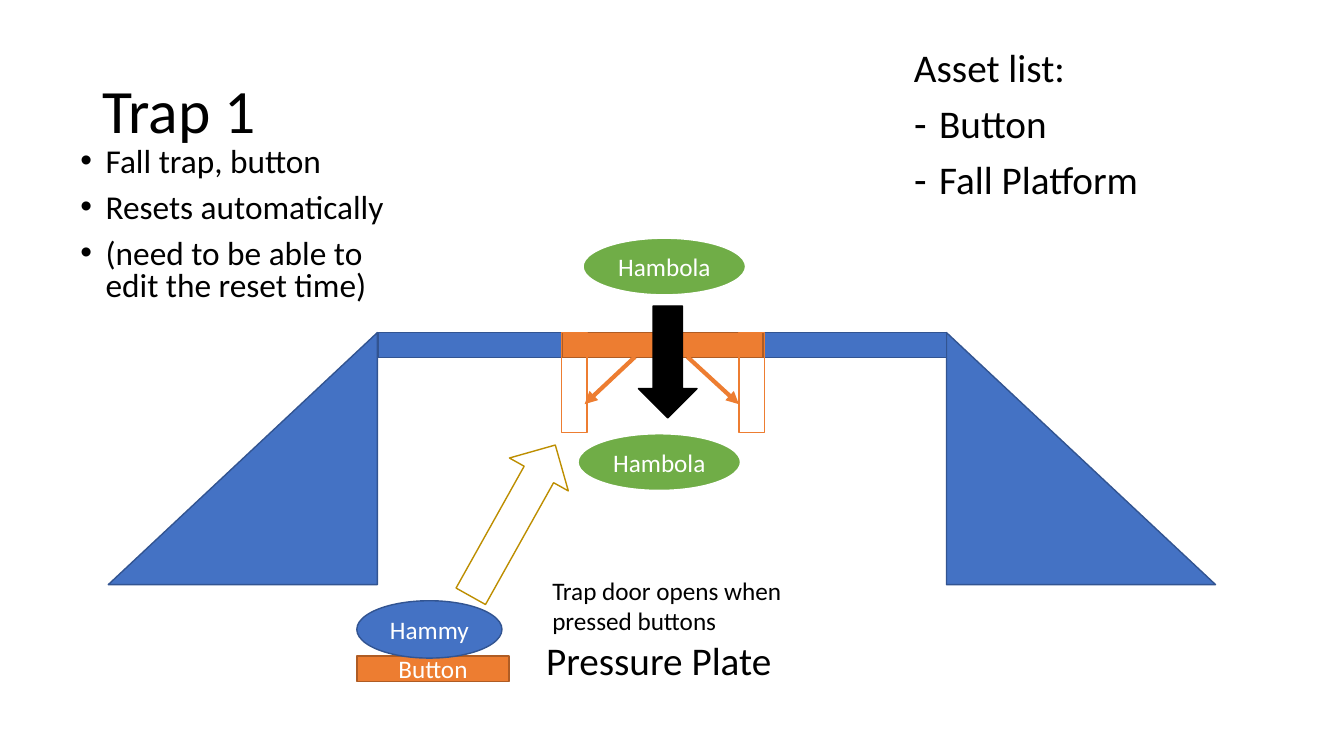
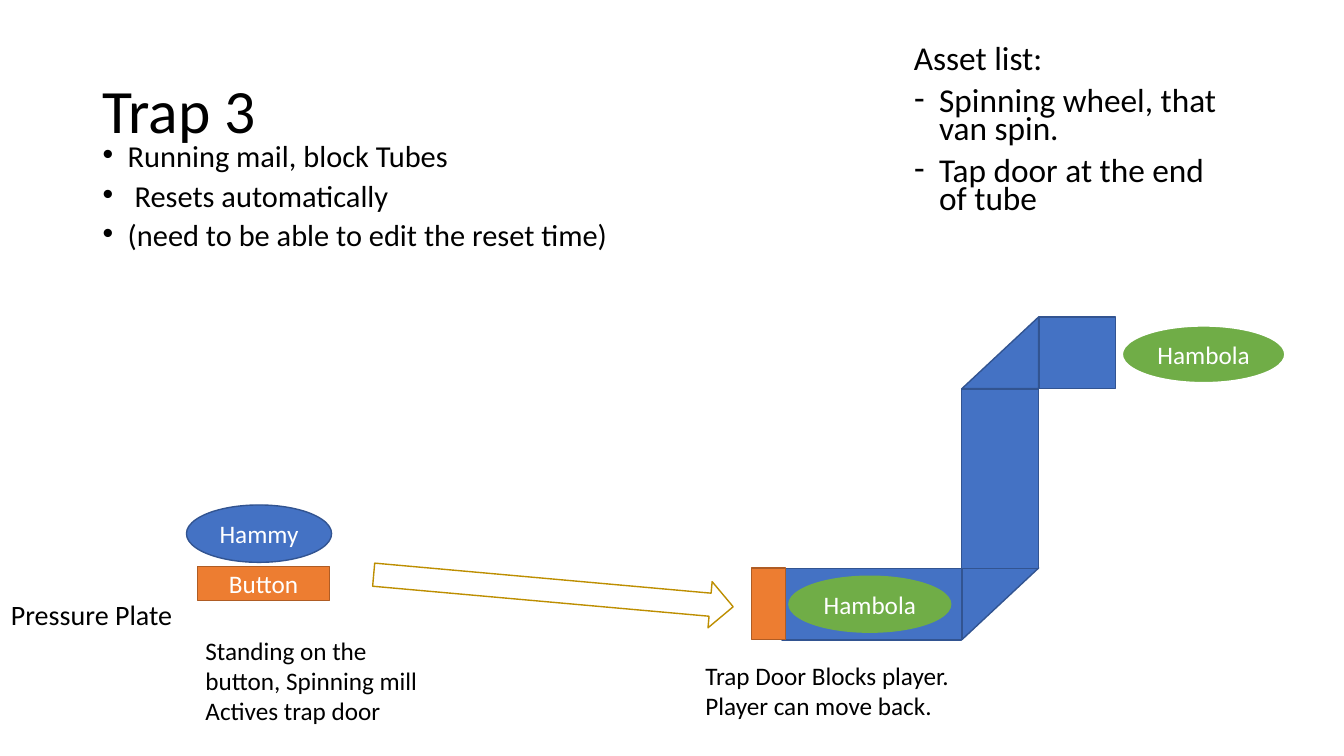
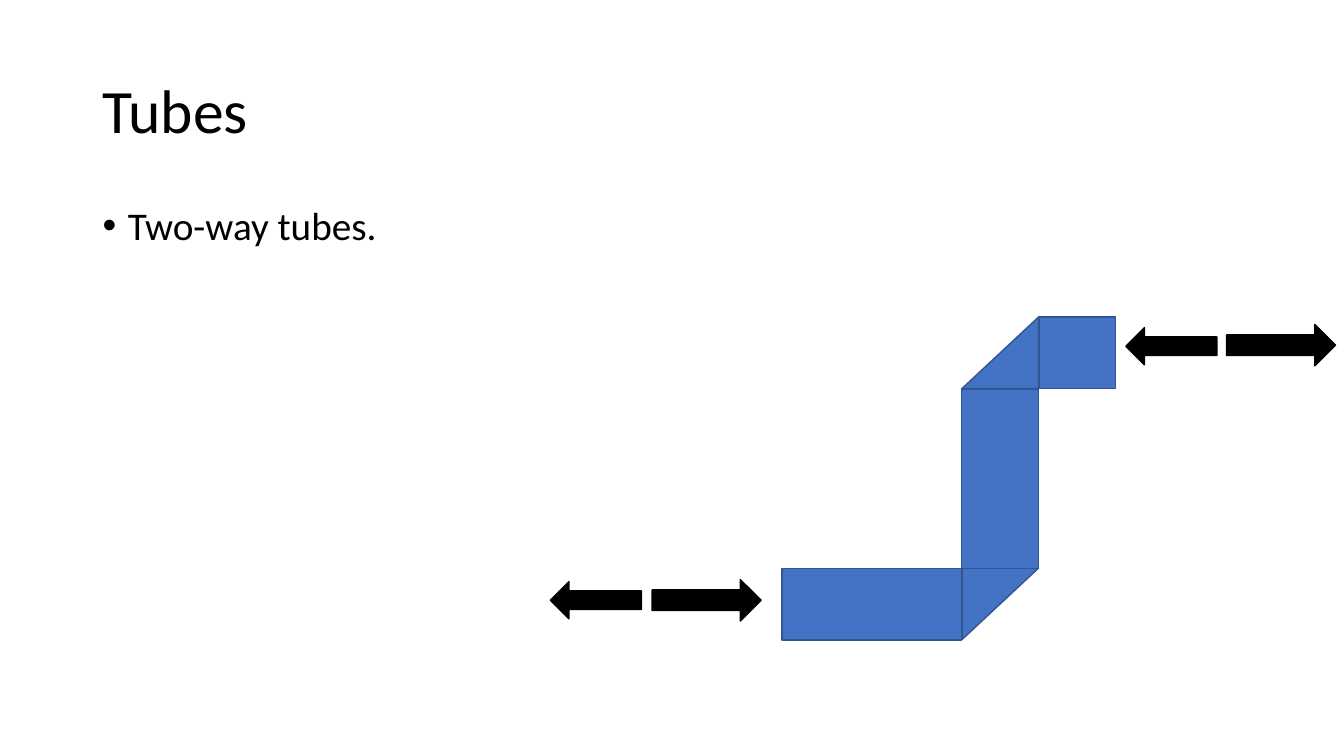
"""Build three slides that sketch game traps and tubes."""
from pptx import Presentation
from pptx.dml.color import RGBColor
from pptx.enum.shapes import MSO_CONNECTOR, MSO_SHAPE
from pptx.enum.text import MSO_ANCHOR, PP_ALIGN
from pptx.oxml.ns import qn
from pptx.util import Pt
from lxml.etree import SubElement

FONT = "Calibri"
INK = {"black": "000000", "white": "FFFFFF", "blue": "4472C4", "navy": "325491",
       "orange": "ED7D31", "rust": "AF5C24", "green": "70AD47", "gold": "BD8E00"}
KIND = {"rect": MSO_SHAPE.RECTANGLE, "ramp": MSO_SHAPE.RIGHT_TRIANGLE,
        "oval": MSO_SHAPE.OVAL, "arrow": MSO_SHAPE.RIGHT_ARROW}
LOOK = {"blue": ("blue", "navy", 1), "orange": ("orange", "rust", 1),
        "green": ("green", "white", 1.5), "plain": ("green", None, 0),
        "black": ("black", "black", 1), "gold": (None, "gold", 1),
        "hollow": (None, "orange", 1)}

TITLE = (66, 28.8, 828, 104.4)
ASSET = (645.8, 31, 242.6, 135.4)
HAMMY, BOLA = (103.7, 41), (116.6, 41)
DECK, THICK, SPAN, DOOR = 237.6, 18, 131, 71.6
RAMP = (192.2, 180)
BEND, LONG = (51.1, 54.7), 128.2
RIGHT, LEFT = (77.8, 29.5), (65, 26.6)

TUBE = [("rect", "blue", (558.7, 406.1, LONG, BEND[0])),
        ("ramp", "blue", (689, 403.9, *BEND), "", 90),
        ("rect", "blue", (650.2, 314.6, LONG, BEND[1]), "", 90),
        ("ramp", "blue", (689, 224.6, *BEND), "", 270),
        ("rect", "blue", (743.8, 224.6, *BEND), "", 90)]

SLIDES = [
    {"title": "Trap 1",
     "notes": [
         ((50.4, 102.2, 242.6, 135.4), 23.8, 0.8, 10,
          [("•", "Fall trap, button"), ("•", "Resets automatically"),
           ("•", "(need to be able to edit the reset time)")]),
         (ASSET, 28, 0.9, 10,
          [("", "Asset list:"), ("-", "Button"), ("-", "Fall Platform")]),
         ((383, 455, 242.6, 60), 28, 0.9, 10, [("", "Pressure Plate")]),
         ((387.4, 407.5, 201.6, 51.1), 18, 1, 0,
          [("", "Trap door opens when pressed buttons")])],
     "shapes": [
         ("ramp", "blue", (676.1, DECK, *RAMP)),
         ("ramp", "blue", (77.4, DECK, *RAMP), "", 0, True),
         ("rect", "blue", (270, DECK, SPAN, THICK)),
         ("rect", "blue", (545, DECK, SPAN, THICK)),
         ("rect", "orange", (401.5, DECK, DOOR, THICK)),
         ("rect", "orange", (473.5, DECK, DOOR, THICK)),
         ("rect", "hollow", (374.4, 264.2, DOOR, THICK), "", 90),
         ("rect", "hollow", (501.1, 264.2, DOOR, THICK), "", 90),
         ("line", (453.6, 254.9, 417.6, 288.7)),
         ("line", (491, 254.9, 527.8, 288.7)),
         ("rect", "orange", (254.9, 468.7, 108.7, THICK), "Button"),
         ("oval", "blue", (254.9, 429.1, *HAMMY), "Hammy"),
         ("arrow", "gold", (304.6, 347.8, 123.8, 48.2), "", 299.2),
         ("oval", "green", (412.6, 309.6, *BOLA), "Hambola"),
         ("arrow", "black", (437, 237.6, 79.9, 41.8), "", 90),
         ("oval", "green", (416.2, 169.9, *BOLA), "Hambola")]},
    {"title": "Trap 3",
     "notes": [
         ((66.2, 101.5, 386.6, 97.2), 21.7, 0.7, 10,
          [("•", "Running mail, block Tubes"), ("•", " Resets automatically"),
           ("•", "(need to be able to edit the reset time)")]),
         (ASSET, 23.8, 0.7, 10,
          [("", "Asset list:"), ("-", "Spinning wheel, that van spin."),
           ("-", "Tap door at the end of tube")]),
         ((139.7, 450, 177.1, 72.7), 18, 1, 0,
          [("", "Standing on the button, Spinning mill Actives trap door")]),
         ((496.8, 468, 190.1, 51.1), 18, 1, 0,
          [("", "Trap Door Blocks player. Player can move back.")]),
         ((0.7, 426.2, 132.5, 51.1), 20, 0.9, 10, [("", "Pressure Plate")])],
     "shapes": [
         ("oval", "blue", (133.2, 360.7, *HAMMY), "Hammy"),
         ("oval", "green", (801.4, 232.6, *BOLA), "Hambola"),
         *TUBE,
         ("rect", "orange", (523.4, 419, 51.1, 24.5), "", 90),
         ("oval", "plain", (563, 411.1, *BOLA), "Hambola"),
         ("arrow", "gold", (266.4, 405.4, 257.8, 33.1), "", 5.1),
         ("rect", "orange", (141.1, 404.6, 94.3, 24.5), "Button")]},
    {"title": "Tubes",
     "notes": [((66.2, 144, 255.6, 68.4), 28, 0.9, 10, [("•", "Two-way tubes.")])],
     "shapes": [
         *TUBE,
         ("arrow", "black", (465.8, 414, *RIGHT)),
         ("arrow", "black", (876.2, 231.8, *RIGHT)),
         ("arrow", "black", (804.2, 234, *LEFT), "", 180),
         ("arrow", "black", (393.1, 415.4, *LEFT), "", 180)]},
]


def tint(name):
    return RGBColor.from_string(INK[name])


def pts(nums):
    return [Pt(num) for num in nums]


def assign(item, values):
    for name, value in values.items():
        setattr(item, name, value)


def write(para, text, size, color="black", **form):
    run = para.add_run()
    run.text = text
    assign(run.font, {"name": FONT, "size": Pt(size)})
    run.font.color.rgb = tint(color)
    assign(para, form)


def head(slide, text):
    title = slide.shapes.title
    assign(title, dict(zip(("left", "top", "width", "height"), pts(TITLE))))
    title.text_frame.vertical_anchor = MSO_ANCHOR.MIDDLE
    write(title.text_frame.paragraphs[0], text, 44,
          alignment=PP_ALIGN.LEFT, line_spacing=0.9)


def note(slide, at, size, space, gap, lines):
    frame = slide.shapes.add_textbox(*pts(at)).text_frame
    frame.word_wrap = True
    for rank, (mark, text) in enumerate(lines):
        para = frame.add_paragraph() if rank else frame.paragraphs[0]
        write(para, text, size, line_spacing=space, space_before=Pt(gap))
        if mark:
            props = para._p.get_or_add_pPr()
            props.set("marL", str(Pt(18)))
            props.set("indent", str(-Pt(18)))
            SubElement(props, qn("a:buFont"), typeface="Arial")
            SubElement(props, qn("a:buChar"), char=mark)


def line(slide, ends):
    link = slide.shapes.add_connector(MSO_CONNECTOR.STRAIGHT, *pts(ends))
    link.line.color.rgb = tint("orange")
    link.line.width = Pt(3)
    SubElement(link.line._get_or_add_ln(), qn("a:tailEnd"), type="triangle")
    SubElement(link._element.spPr, qn("a:effectLst"))


def draw(slide, kind, look, at, text="", turn=0, flip=False):
    shape = slide.shapes.add_shape(KIND[kind], *pts(at))
    shape.shadow.inherit = False
    shape.rotation = turn
    if flip:
        shape._element.spPr.find(qn("a:xfrm")).set("flipH", "1")
    fill, edge, width = LOOK[look]
    for part, color in ((shape.fill, fill), (shape.line.fill, edge)):
        if color:
            part.solid()
            part.fore_color.rgb = tint(color)
        else:
            part.background()
    if edge:
        shape.line.width = Pt(width)
    if text:
        shape.text_frame.vertical_anchor = MSO_ANCHOR.MIDDLE
        write(shape.text_frame.paragraphs[0], text, 18, "white",
              alignment=PP_ALIGN.CENTER)


def main():
    deck = Presentation()
    assign(deck, {"slide_width": Pt(960), "slide_height": Pt(540)})
    for page in SLIDES:
        slide = deck.slides.add_slide(deck.slide_layouts[5])
        head(slide, page["title"])
        for kind, *rest in page["shapes"]:
            if kind == "line":
                line(slide, *rest)
            else:
                draw(slide, kind, *rest)
        for item in page["notes"]:
            note(slide, *item)
    deck.save("out.pptx")


main()
